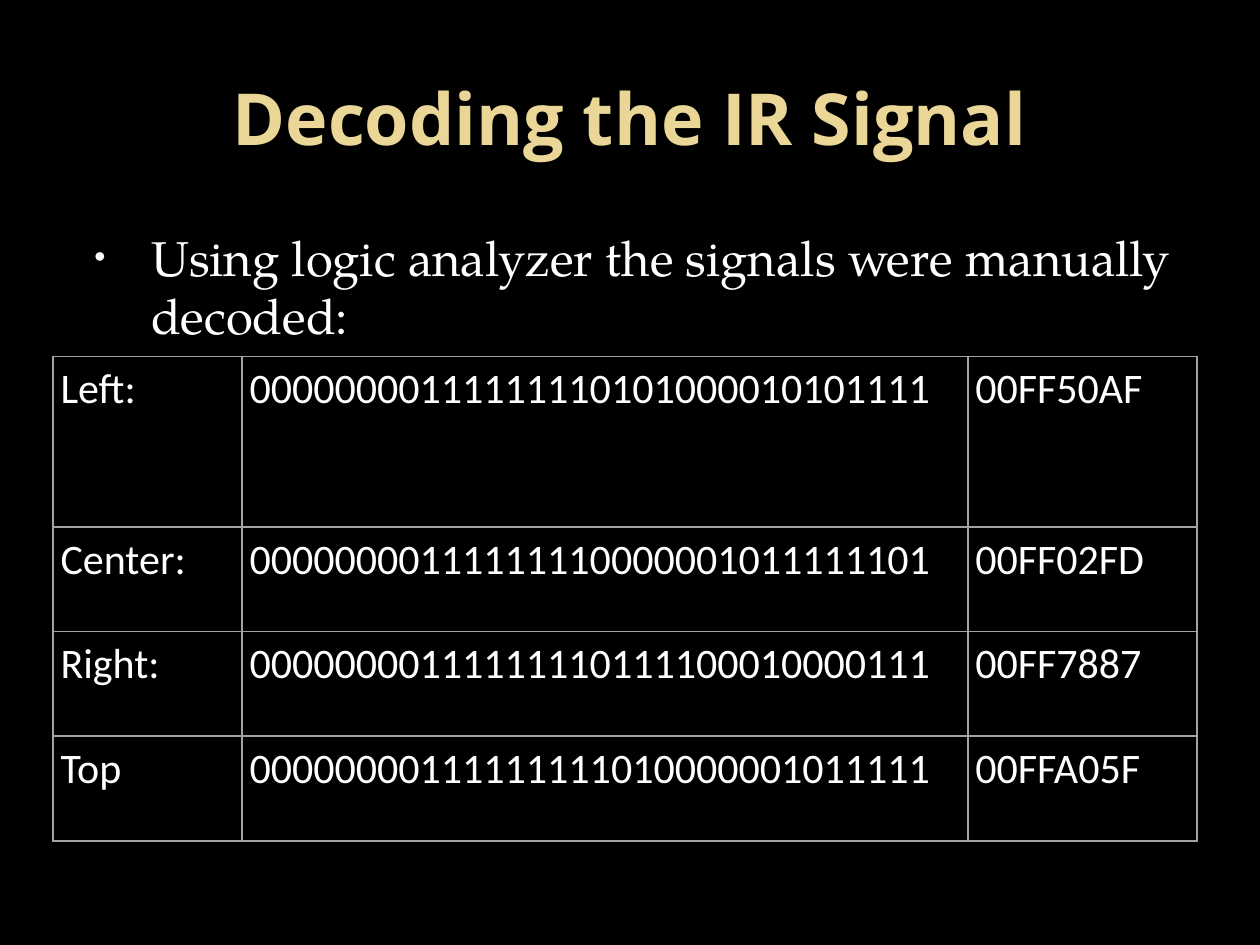
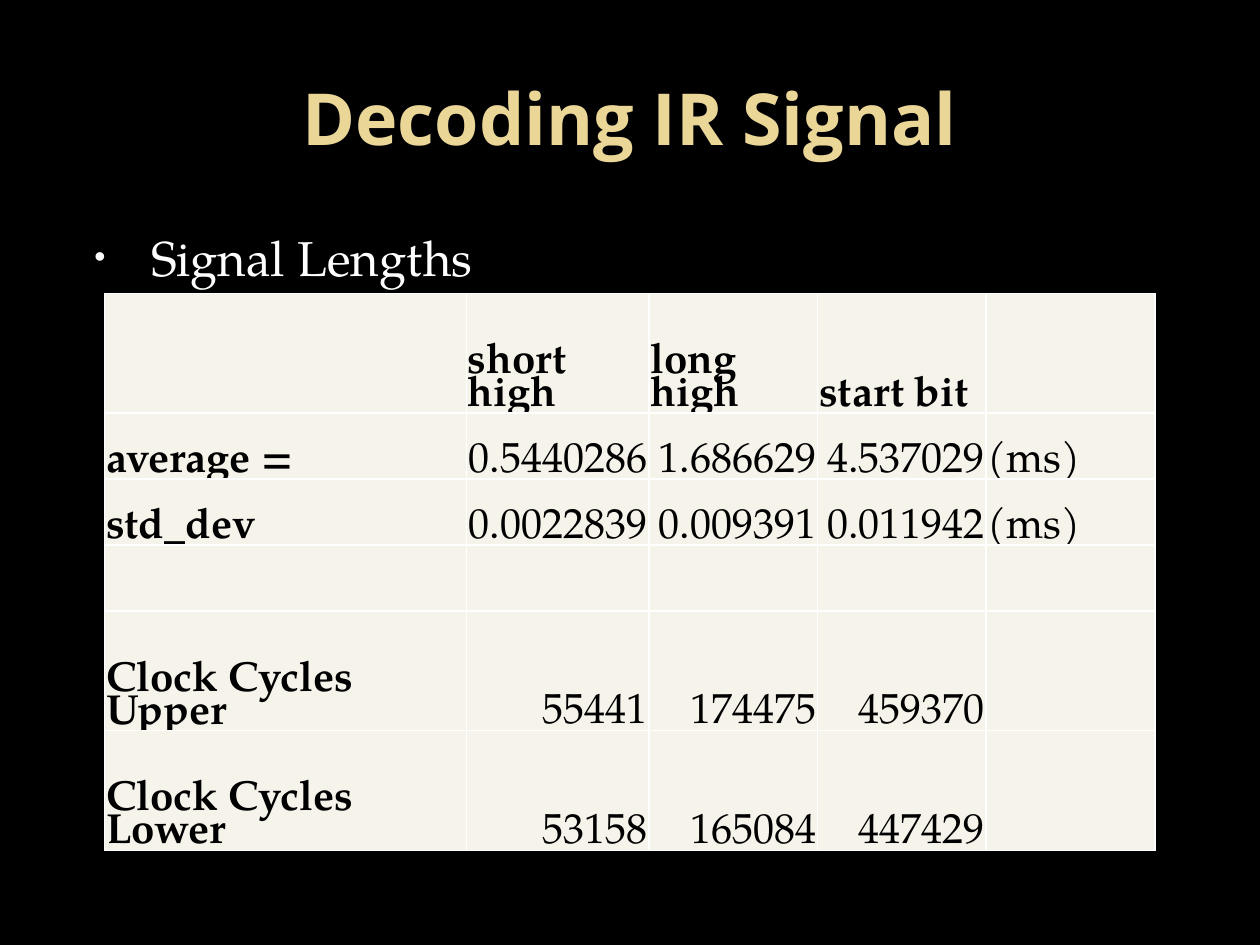
import dataclasses

import lxml.etree
import pptx
import pptx.dml.color
import pptx.enum.text
import pptx.oxml.ns
import pptx.util

Cm = pptx.util.Cm
Pt = pptx.util.Pt
Align = pptx.enum.text.PP_ALIGN
Anchor = pptx.enum.text.MSO_ANCHOR


@dataclasses.dataclass(frozen=True)
class Theme:
    background: str = "000000"
    title_color: str = "EAD696"
    text_color: str = "FFFFFF"
    bullet_color: str = "F9F9F9"
    code_border: str = "A3A3A3"
    timing_fill: str = "F6F3EA"
    timing_text: str = "000000"
    timing_border: str = "FFFFFF"
    title_font: str = "Open Sans"
    body_font: str = "TeX Gyre Pagella"
    code_font: str = "Calibri"
    title_size: int = 41
    body_size: int = 28
    table_size: int = 24


THEME = Theme()

TITLE_BOX = (1.27, 0.76, 22.86, 3.18)
BODY_BOX = (1.27, 4.45, 22.86, 13.08)

CODE_STYLE = {
    "font": THEME.code_font,
    "color": THEME.text_color,
    "fill": None,
    "border": THEME.code_border,
    "bold_headers": False,
    "line_spacing": 1.0,
    "cell": {
        "vertical_anchor": Anchor.TOP,
        "margin_left": Cm(0.15),
        "margin_right": Cm(0.15),
        "margin_top": Cm(0.15),
        "margin_bottom": Cm(0.15),
    },
}
TIMING_STYLE = {
    "font": THEME.body_font,
    "color": THEME.timing_text,
    "fill": THEME.timing_fill,
    "border": THEME.timing_border,
    "bold_headers": True,
    "line_spacing": 0.8,
    "cell": {
        "vertical_anchor": Anchor.BOTTOM,
        "margin_left": Cm(0.03),
        "margin_right": Cm(0.03),
        "margin_top": Cm(0.03),
        "margin_bottom": 0,
    },
}

REMOTE_CODES = [
    ["Left:", "00000000111111110101000010101111", "00FF50AF"],
    ["Center:", "00000000111111110000001011111101", "00FF02FD"],
    ["Right:", "00000000111111110111100010000111", "00FF7887"],
    ["Top", "00000000111111111010000001011111", "00FFA05F"],
]
SIGNAL_LENGTHS = [
    ["", "short high", "long high", "start bit", ""],
    ["average =", "0.5440286", "1.686629", "4.537029", "(ms)"],
    ["std_dev", "0.0022839", "0.009391", "0.011942", "(ms)"],
    ["", "", "", "", ""],
    ["Clock Cycles Upper", "55441", "174475", "459370", ""],
    ["Clock Cycles Lower", "53158", "165084", "447429", ""],
]


def rgb(color):
    return pptx.dml.color.RGBColor.from_string(color)


def set_values(target, values):
    for name, value in values.items():
        setattr(target, name, value)


def format_font(font, name, size, color, bold=False):
    set_values(font, {"name": name, "size": Pt(size), "bold": bold})
    font.color.rgb = rgb(color)


def add_element(parent, tag, **attributes):
    return lxml.etree.SubElement(parent, pptx.oxml.ns.qn(tag), attributes)


def place(shape, box):
    names = ("left", "top", "width", "height")
    set_values(shape, dict(zip(names, map(Cm, box))))


def fill_placeholder(shape, box, text, anchor, alignment):
    """Place a one-paragraph placeholder and return its paragraph."""
    place(shape, box)
    frame = shape.text_frame
    frame.text = text
    set_values(frame, {"vertical_anchor": anchor, "word_wrap": True,
                       "auto_size": pptx.enum.text.MSO_AUTO_SIZE.NONE})
    paragraph = frame.paragraphs[0]
    set_values(paragraph, {"alignment": alignment, "space_before": Pt(0)})
    return paragraph


def write_title(slide, text):
    paragraph = fill_placeholder(slide.shapes.title, TITLE_BOX, text,
                                 Anchor.MIDDLE, Align.CENTER)
    format_font(paragraph.font, THEME.title_font, THEME.title_size,
                THEME.title_color, bold=True)


def write_bullet(slide, text):
    paragraph = fill_placeholder(slide.placeholders[1], BODY_BOX, text,
                                 Anchor.TOP, Align.LEFT)
    properties = paragraph._p.get_or_add_pPr()
    properties.set("marL", str(Cm(1.52)))
    properties.set("indent", str(Cm(-1.14)))
    bullet_color = add_element(properties, "a:buClr")
    add_element(bullet_color, "a:srgbClr", val=THEME.bullet_color)
    add_element(properties, "a:buSzPct", val="65000")
    add_element(properties, "a:buChar", char="•")
    format_font(paragraph.font, THEME.body_font, THEME.body_size,
                THEME.text_color)


def draw_borders(cell, color):
    properties = cell._tc.get_or_add_tcPr()
    for position, side in enumerate(("a:lnL", "a:lnR", "a:lnT", "a:lnB")):
        line = lxml.etree.Element(pptx.oxml.ns.qn(side), w=str(Pt(1)))
        add_element(add_element(line, "a:solidFill"), "a:srgbClr", val=color)
        properties.insert(position, line)


def format_cell(cell, text, style, is_header):
    set_values(cell, style["cell"])
    if style["fill"]:
        cell.fill.solid()
        cell.fill.fore_color.rgb = rgb(style["fill"])
    else:
        cell.fill.background()
    draw_borders(cell, style["border"])
    if not text:
        return
    cell.text = text
    paragraph = cell.text_frame.paragraphs[0]
    is_number = style["bold_headers"] and text[0].isdigit()
    set_values(paragraph, {"alignment": Align.RIGHT if is_number else Align.LEFT,
                           "line_spacing": style["line_spacing"]})
    format_font(paragraph.runs[0].font, style["font"], THEME.table_size,
                style["color"], bold=is_header and style["bold_headers"])


def draw_table(slide, corner, widths, heights, rows, style):
    box = (*corner, sum(widths), sum(heights))
    table = slide.shapes.add_table(len(rows), len(widths), *map(Cm, box)).table
    set_values(table, {"first_row": False, "horz_banding": False})
    for column, width in zip(table.columns, widths):
        column.width = Cm(width)
    for row, height in zip(table.rows, heights):
        row.height = Cm(height)
    for row_index, texts in enumerate(rows):
        for column_index, text in enumerate(texts):
            format_cell(table.cell(row_index, column_index), text, style,
                        is_header=row_index == 0 or column_index == 0)


def add_table_slide(presentation, title, bullet, **table):
    slide = presentation.slides.add_slide(presentation.slide_layouts[1])
    write_title(slide, title)
    write_bullet(slide, bullet)
    draw_table(slide, **table)


def main():
    presentation = pptx.Presentation()
    set_values(presentation, {"slide_width": Cm(25.4), "slide_height": Cm(19.05)})
    background = presentation.slide_master.background.fill
    background.solid()
    background.fore_color.rgb = rgb(THEME.background)

    add_table_slide(
        presentation, "Decoding the IR Signal",
        "Using logic analyzer the signals were manually decoded:",
        corner=(1.07, 7.19), widths=[3.81, 14.63, 4.62],
        heights=[3.43] + [2.11] * 3, rows=REMOTE_CODES, style=CODE_STYLE)
    add_table_slide(
        presentation, "Decoding IR Signal", "Signal Lengths",
        corner=(2.11, 5.92), widths=[7.29, 3.68] + [3.4] * 3,
        heights=[2.41] + [1.33] * 3 + [2.41] * 2,
        rows=SIGNAL_LENGTHS, style=TIMING_STYLE)
    presentation.save("out.pptx")


if __name__ == "__main__":
    main()
